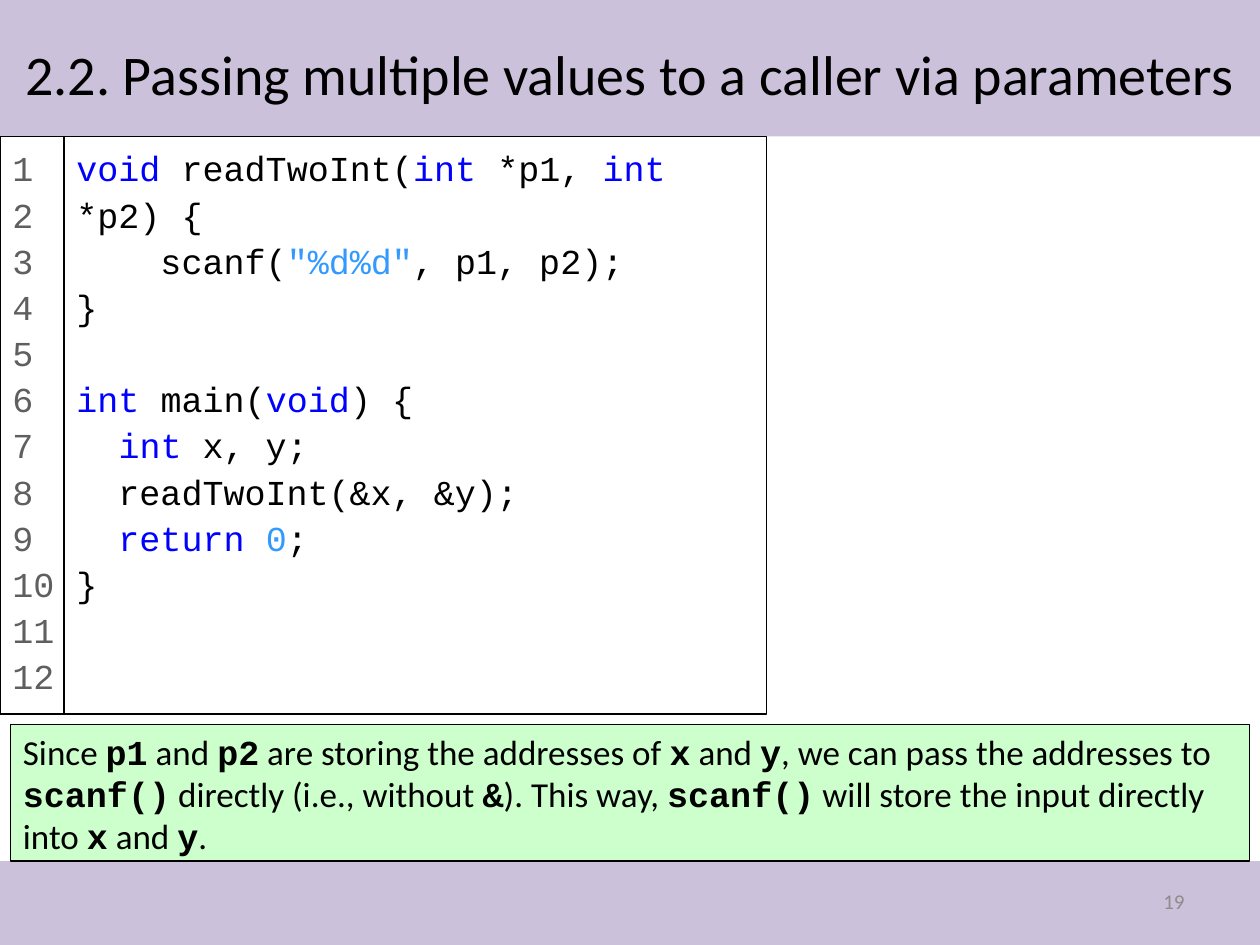
from lxml.etree import SubElement
from pptx import Presentation
from pptx.dml.color import RGBColor
from pptx.enum.shapes import MSO_SHAPE as Shape
from pptx.enum.text import MSO_ANCHOR as Anchor, MSO_AUTO_SIZE as Fit, PP_ALIGN as Align
from pptx.oxml.ns import qn
from pptx.util import Pt

SCALE = 7620  # EMU per px, 120 px to the inch
WIDE, HIGH = 1200, 900

BLACK = RGBColor(0x00, 0x00, 0x00)
WHITE = RGBColor(0xFF, 0xFF, 0xFF)
LILAC = RGBColor(0xCC, 0xC1, 0xDA)
GREEN = RGBColor(0xCC, 0xFF, 0xCB)
BLUE = RGBColor(0x00, 0x00, 0xFF)
SKY = RGBColor(0x33, 0x99, 0xFF)
GREY = RGBColor(0x5F, 0x5F, 0x5F)
PALE = RGBColor(0x8C, 0x8C, 0x8C)

SANS, MONO = "Calibri", "Courier New"

TITLE = "2.2. Passing multiple values to a caller via parameters"

CODE = [
    [("void ", BLUE), ("readTwoInt(", BLACK), ("int", BLUE), (" *p1, ", BLACK),
     ("int", BLUE), (" *p2) {", BLACK)],
    [("    scanf(", BLACK), ('"%d%d"', SKY), (", p1, p2);", BLACK)],
    [("}", BLACK)],
    [],
    [("int", BLUE), (" main(", BLACK), ("void", BLUE), (") {", BLACK)],
    [("  ", BLACK), ("int", BLUE), (" x, y;", BLACK)],
    [("  readTwoInt(&x, &y);", BLACK)],
    [("  return ", BLUE), ("0", SKY), (";", BLACK)],
    [("}", BLACK)],
]

# Every second piece, split at the bar, is code
NOTE = ("Since |p1| and |p2| are storing the addresses of |x| and |y|"
        ", we can pass the addresses to |scanf()| directly (i.e., without |&|"
        "). This way, |scanf()| will store the input directly into |x| and |y|.")


def px(*nums):
    return [n * SCALE for n in nums]


def add_run(para, text, size, face, color, bold=False):
    run = para.add_run()
    run.text = text
    font = run.font
    font.size, font.name, font.bold = Pt(size), face, bold
    font.color.rgb = color


def add_box(slide, area, fill=None, line=None):
    box = slide.shapes.add_shape(Shape.RECTANGLE, *px(*area))
    box.shadow.inherit = False
    if fill is None:
        box.fill.background()
    else:
        box.fill.solid()
        box.fill.fore_color.rgb = fill
    if line is None:
        box.line.fill.background()
    else:
        box.line.color.rgb = line
        box.line.width = Pt(0.75)
    frame = box.text_frame
    frame.word_wrap = True
    frame.vertical_anchor = Anchor.TOP
    frame.paragraphs[0].alignment = Align.LEFT
    return frame


def add_lines(frame, lines):
    for i, line in enumerate(lines):
        para = frame.add_paragraph() if i else frame.paragraphs[0]
        para.alignment = Align.LEFT
        para.line_spacing = 1.1
        for text, color in line:
            add_run(para, text, 20, MONO, color)
        if not line:  # an empty code line keeps the code's height
            end = SubElement(para._p, qn("a:endParaRPr"), sz="2000")
            SubElement(end, qn("a:latin"), typeface=MONO)


def set_title(slide):
    title = slide.shapes.title
    title.left, title.top, title.width, title.height = px(10, 20, 1180, 100)
    frame = title.text_frame
    frame.word_wrap = True
    frame.auto_size = Fit.NONE
    frame.vertical_anchor = Anchor.MIDDLE
    add_run(frame.paragraphs[0], TITLE, 32, SANS, BLACK)
    slide.shapes._spTree.append(title._element)  # in front of the bands


def add_note(slide):
    para = add_box(slide, (10, 690, 1180, 130), GREEN, BLACK).paragraphs[0]
    for i, text in enumerate(NOTE.split("|")):
        code = i % 2 == 1
        add_run(para, text, 20, MONO if code else SANS, BLACK, code)


def add_number(slide):
    frame = slide.shapes.add_textbox(*px(860, 834, 280, 48)).text_frame
    frame.word_wrap = True
    frame.vertical_anchor = Anchor.MIDDLE
    para = frame.paragraphs[0]
    para.alignment = Align.RIGHT
    add_run(para, "19", 12, SANS, PALE)


def main():
    deck = Presentation()
    deck.slide_width, deck.slide_height = px(WIDE, HIGH)
    slide = deck.slides.add_slide(deck.slide_layouts[5])

    # Bands and title
    add_box(slide, (0, 0, WIDE, 130), LILAC)
    add_box(slide, (0, 820, WIDE, 80), LILAC)
    set_title(slide)

    # Code with its line numbers
    add_lines(add_box(slide, (61, 130, 669, 550), line=BLACK), CODE)
    gutter = add_box(slide, (0, 130, 61, 550), WHITE, BLACK)
    gutter.margin_right = 0
    add_lines(gutter, [[(str(n), GREY)] for n in range(1, 13)])

    # Explanation and slide number
    add_note(slide)
    add_number(slide)
    deck.save("out.pptx")


if __name__ == "__main__":
    main()
